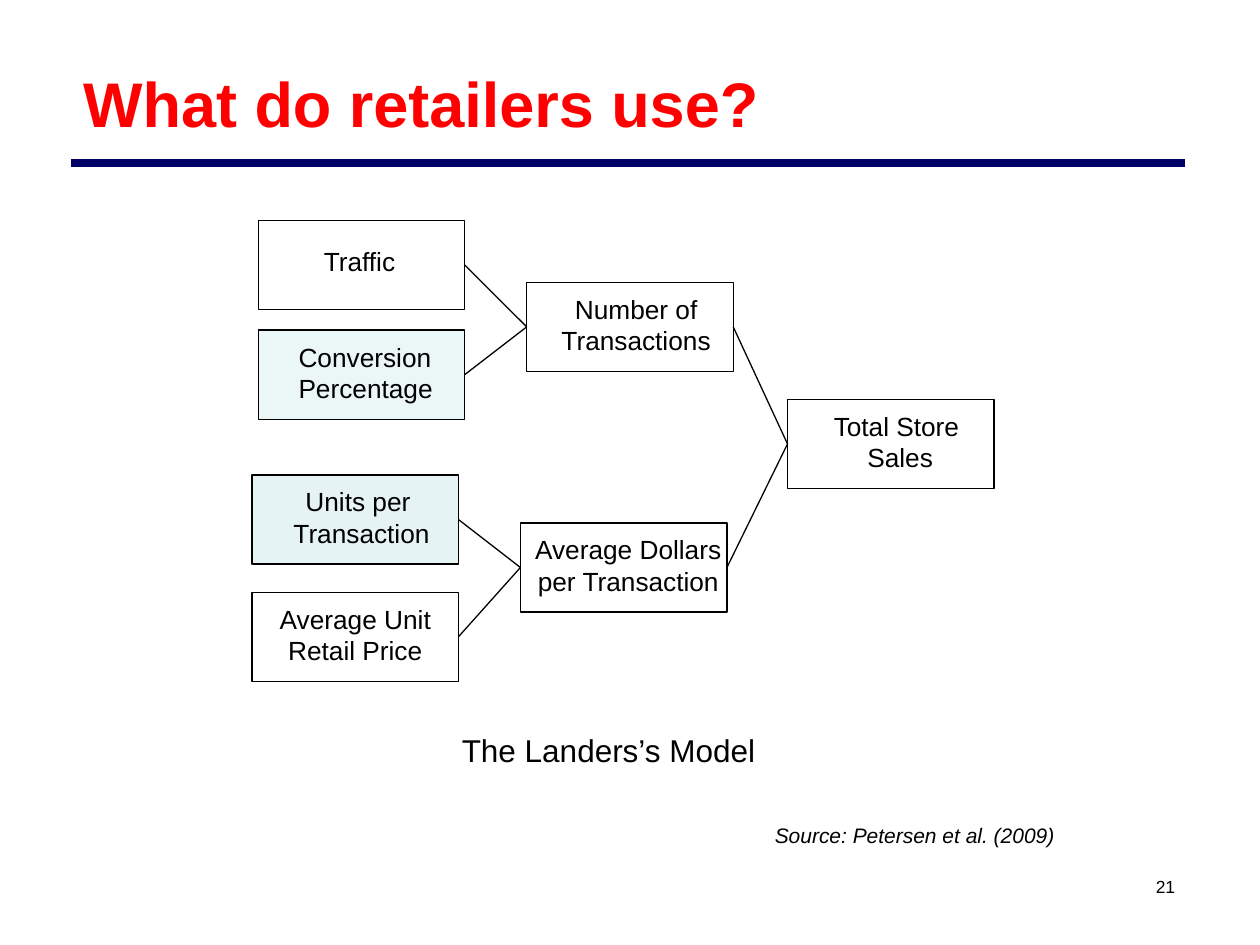
"""Build the slide showing how store sales break down into their drivers."""
from lxml import etree
from pptx import Presentation
from pptx.dml.color import RGBColor
from pptx.enum import shapes, text
from pptx.oxml import ns
from pptx.util import Pt

BLACK = RGBColor(0x00, 0x00, 0x00)
RED = RGBColor(0xFF, 0x00, 0x00)
NAVY = RGBColor(0x00, 0x00, 0x66)
TEAL = RGBColor(0xBB, 0xE0, 0xE3)
LEFT, CENTER = text.PP_ALIGN.LEFT, text.PP_ALIGN.CENTER
TOP, MIDDLE = text.MSO_ANCHOR.TOP, text.MSO_ANCHOR.MIDDLE
BOX_W, BOX_H = 118, 51


def add_text(box, lines, size, align=CENTER, anchor=TOP, color=BLACK,
             insets=(7.2, 3.6), wrap=True, **font):
    tf = s.shapes.add_textbox(*map(Pt, box)).text_frame
    dx, dy = map(Pt, insets)
    frame = {"word_wrap": wrap, "vertical_anchor": anchor, "margin_left": dx,
             "margin_right": dx, "margin_top": dy, "margin_bottom": dy}
    for key, value in frame.items():
        setattr(tf, key, value)
    for i, line in enumerate(lines):
        p = tf.add_paragraph() if i else tf.paragraphs[0]
        p.alignment = align
        r = p.add_run()
        r.text = line
        for key, value in {"name": "Arial", "size": Pt(size), **font}.items():
            setattr(r.font, key, value)
        r.font.color.rgb = color


def add_line(start, end, color, width):
    c = s.shapes.add_connector(shapes.MSO_CONNECTOR.STRAIGHT,
                               *map(Pt, start + end))
    c.line.color.rgb = color
    c.line.width = Pt(width)
    etree.SubElement(c._element.spPr, ns.qn("a:effectLst"))
    return c


prs = Presentation()
prs.slide_width, prs.slide_height = Pt(720), Pt(540)
s = prs.slides.add_slide(prs.slide_layouts[6])

add_text((648, 493, 36, 27), ["21"], 10, anchor=MIDDLE)
add_line((40.5, 93), (677, 93), NAVY, 4.5)
add_text((40.5, 21.5, 634, 74), ["What do retailers use?"], 36, LEFT, MIDDLE,
         RED, bold=True)

# name: left, top, tint percent, label left, label width, label drop, align, lines
drivers = {
    "traffic": (147.6, 126, 0, 180.7, 51, 12.2, LEFT, ["Traffic"]),
    "conversion": (147.6, 188.6, 29, 166.3, 86.4, 4, LEFT,
                   ["Conversion", "Percentage"]),
    "units": (144, 271.4, 38, 162.7, 87.8, 4, CENTER,
              ["Units per ", "Transaction"]),
    "price": (144, 338.4, 0, 154.8, 96.5, 4, CENTER,
              ["Average Unit", "Retail Price"]),
    "dollars": (297.4, 298.8, 0, 301, 116, 4, CENTER,
                ["Average Dollars", "per Transaction"]),
    "transactions": (301, 161.3, 0, 316, 95, 4, CENTER,
                     ["Number of", "Transactions"]),
    "sales": (450, 228.2, 0, 470.9, 87, 4, CENTER, ["Total Store ", "Sales"]),
}
boxes = {}
for name, (x, y, tint, *_) in drivers.items():
    sp = s.shapes.add_shape(shapes.MSO_SHAPE.RECTANGLE,
                            *map(Pt, (x, y, BOX_W, BOX_H)))
    sp.shadow.inherit = False
    sp.line.color.rgb = BLACK
    sp.line.width = Pt(0.75)
    if tint:
        sp.fill.solid()
        sp.fill.fore_color.rgb = TEAL
        clr = sp._element.spPr.find(ns.qn("a:solidFill"))[0]
        etree.SubElement(clr, ns.qn("a:alpha"), val=str(tint * 1000))
    else:
        sp.fill.background()
    boxes[name] = sp

for x, y, tint, label_x, label_w, drop, align, lines in drivers.values():
    add_text((label_x, y + drop, label_w, 5 + 18 * len(lines)), lines, 15,
             align, insets=(4.3, 2.2), wrap=False)

links = [("traffic", "transactions"), ("conversion", "transactions"),
         ("units", "dollars"), ("price", "dollars"),
         ("transactions", "sales"), ("dollars", "sales")]
for source, target in links:
    c = add_line((0, 0), (0, 0), BLACK, 0.75)
    c.begin_connect(boxes[source], 3)
    c.end_connect(boxes[target], 1)

add_text((203, 414, 289.5, 29), ["The Landers’s Model"], 18)
add_text((378, 466.5, 289.5, 22), ["Source: Petersen et al. (2009)"], 12,
         italic=True)

prs.save("out.pptx")
